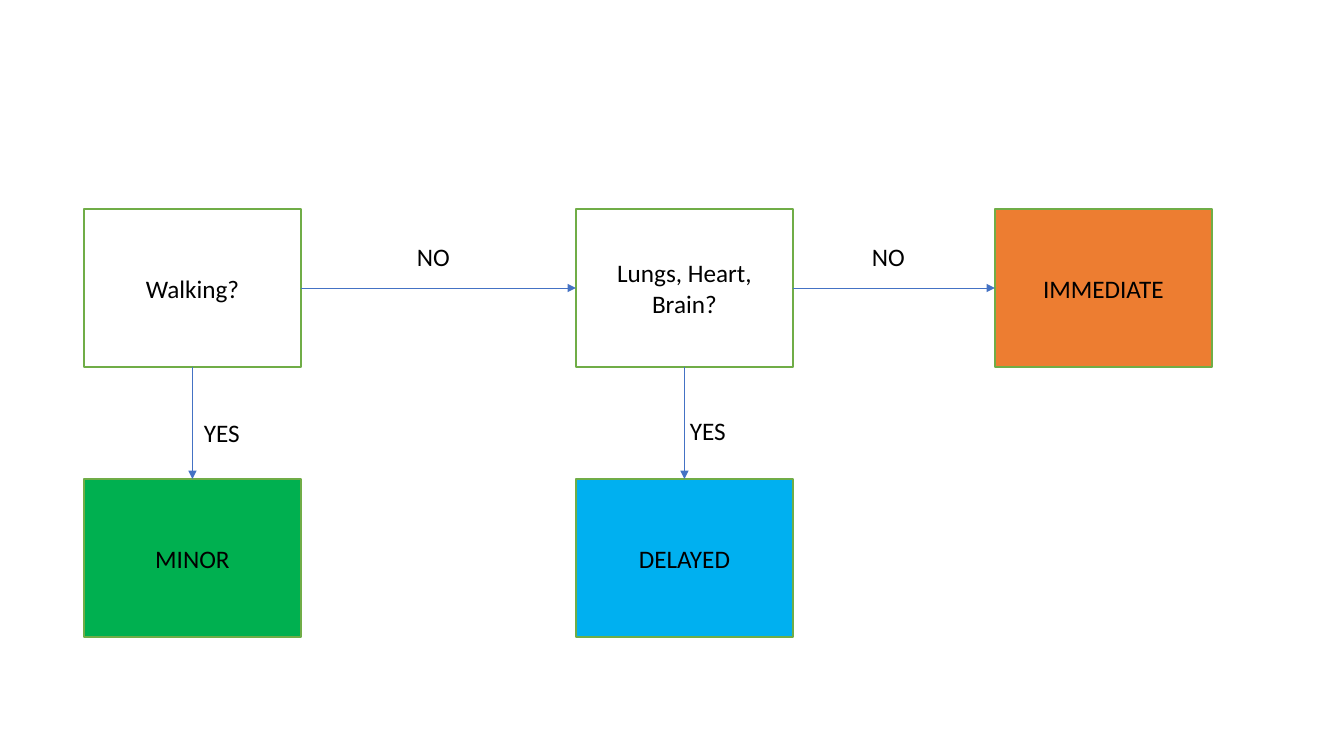
from lxml.etree import SubElement
from pptx import Presentation
from pptx.dml.color import RGBColor
from pptx.enum.shapes import MSO_CONNECTOR, MSO_SHAPE
from pptx.enum.text import MSO_ANCHOR, MSO_AUTO_SIZE, PP_ALIGN
from pptx.oxml.ns import qn
from pptx.util import Pt

SCALE = 914400 / 100.8
COLORS = {
    "question": "FFFFFF",
    "immediate": "ED7D31",
    "delayed": "00B0F0",
    "minor": "00B050",
    "border": "70AD47",
    "arrow": "4472C4",
    "text": "000000",
}
BOX_WIDTH, BOX_HEIGHT = 217, 158
WALKING_LEFT, ORGANS_LEFT, IMMEDIATE_LEFT = 84, 576, 995
QUESTION_TOP, OUTCOME_TOP = 209, 479
TOP, LEFT, BOTTOM, RIGHT = range(4)


def emu(*pixels):
    return [round(pixel * SCALE) for pixel in pixels]


def write(shape, text, alignment):
    shape.text_frame.word_wrap = True
    paragraph = shape.text_frame.paragraphs[0]
    paragraph.text = text
    paragraph.alignment = alignment
    paragraph.font.name = "Calibri"
    paragraph.font.size = Pt(18)
    paragraph.font.color.rgb = RGBColor.from_string(COLORS["text"])


presentation = Presentation()
presentation.slide_width, presentation.slide_height = emu(1344, 756)
slide = presentation.slides.add_slide(presentation.slide_layouts[6])

boxes = {}
for text, left, top, color in [
    ("Lungs, Heart, Brain?", ORGANS_LEFT, QUESTION_TOP, "question"),
    ("Walking?", WALKING_LEFT, QUESTION_TOP, "question"),
    ("IMMEDIATE", IMMEDIATE_LEFT, QUESTION_TOP, "immediate"),
    ("DELAYED", ORGANS_LEFT, OUTCOME_TOP, "delayed"),
    ("MINOR", WALKING_LEFT, OUTCOME_TOP, "minor"),
]:
    box = slide.shapes.add_shape(
        MSO_SHAPE.RECTANGLE, *emu(left, top, BOX_WIDTH, BOX_HEIGHT))
    box.shadow.inherit = False
    box.fill.solid()
    box.fill.fore_color.rgb = RGBColor.from_string(COLORS[color])
    box.line.color.rgb = RGBColor.from_string(COLORS["border"])
    box.line.width = Pt(1)
    box.text_frame.vertical_anchor = MSO_ANCHOR.MIDDLE
    write(box, text, PP_ALIGN.CENTER)
    boxes[text] = box

for source, source_side, target, target_side in [
    ("Walking?", RIGHT, "Lungs, Heart, Brain?", LEFT),
    ("Walking?", BOTTOM, "MINOR", TOP),
    ("Lungs, Heart, Brain?", BOTTOM, "DELAYED", TOP),
    ("Lungs, Heart, Brain?", RIGHT, "IMMEDIATE", LEFT),
]:
    arrow = slide.shapes.add_connector(MSO_CONNECTOR.STRAIGHT, 0, 0, 0, 0)
    arrow.begin_connect(boxes[source], source_side)
    arrow.end_connect(boxes[target], target_side)
    arrow.line.color.rgb = RGBColor.from_string(COLORS["arrow"])
    arrow.line.width = Pt(0.5)
    SubElement(arrow.line._get_or_add_ln(), qn("a:tailEnd"), type="triangle")
    SubElement(arrow._element.spPr, qn("a:effectLst"))

for text, left, top, width in [
    ("YES", 194, 412, 214),
    ("NO", 407, 236, 96),
    ("NO", 862, 236, 96),
    ("YES", 680, 410, 214),
]:
    label = slide.shapes.add_textbox(*emu(left, top, width, 40))
    label.text_frame.auto_size = MSO_AUTO_SIZE.SHAPE_TO_FIT_TEXT
    write(label, text, PP_ALIGN.LEFT)

presentation.save("out.pptx")
